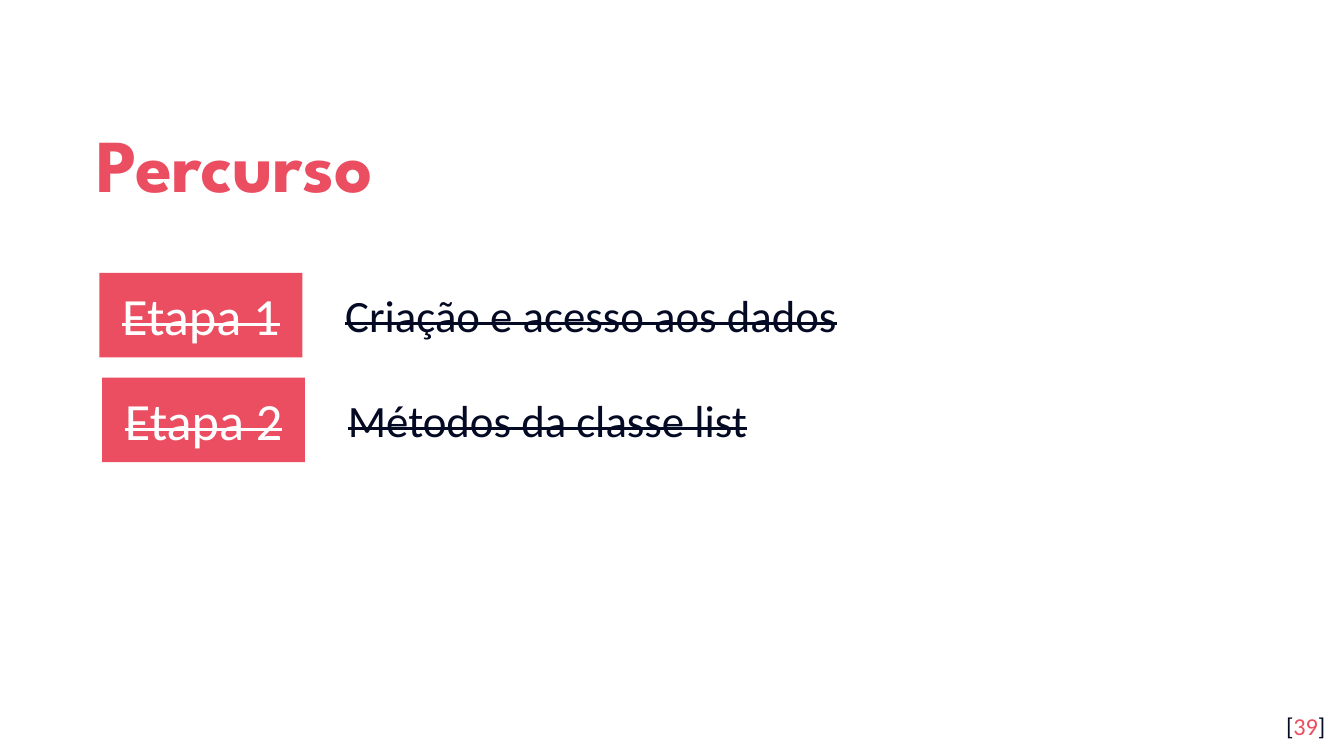
from pptx import Presentation
from pptx.dml.color import RGBColor
from pptx.enum.shapes import MSO_SHAPE
from pptx.enum.text import MSO_ANCHOR, MSO_AUTO_SIZE, PP_ALIGN
from pptx.util import Inches, Pt

CORAL = RGBColor(0xEA, 0x4E, 0x60)
NAVY = RGBColor(0x04, 0x0A, 0x24)
WHITE = RGBColor(0xFF, 0xFF, 0xFF)

TITLE_FONT = "League Spartan"
BODY_FONT = "Calibri"

SLIDE_WIDTH = 10
SLIDE_HEIGHT = SLIDE_WIDTH * 9 / 16

STEPS = ["Criação e acesso aos dados", "Métodos da classe list"]
FIRST_LEFT, FIRST_TOP = 0.74, 2.03
STEP_SHIFT, STEP_PITCH = 0.02, 0.78
LABEL_WIDTH, LABEL_HEIGHT = 1.51, 0.63
TOPIC_OFFSET, TOPIC_WIDTH, TOPIC_HEIGHT = 1.73, 6.75, 0.5


def write(shape, *parts, size, font=BODY_FONT, bold=False, strike=False,
          align=PP_ALIGN.LEFT, anchor=MSO_ANCHOR.TOP, inset=0.1,
          hanging=0, spacing=1.0):
    """Fill a shape with one paragraph made of (text, colour) parts."""
    frame = shape.text_frame
    frame.word_wrap = True
    frame.auto_size = MSO_AUTO_SIZE.NONE
    frame.vertical_anchor = anchor
    frame.margin_left = frame.margin_right = Inches(0.1)
    frame.margin_top = frame.margin_bottom = Inches(inset)
    paragraph = frame.paragraphs[0]
    paragraph.alignment = align
    paragraph.line_spacing = spacing
    if hanging:
        properties = paragraph._p.get_or_add_pPr()
        properties.set("marL", str(Inches(hanging)))
        properties.set("indent", str(-Inches(hanging)))
    for text, color in parts:
        run = paragraph.add_run()
        run.text = text
        run.font.name = font
        run.font.size = Pt(size)
        run.font.bold = bold
        run.font.color.rgb = color
        if strike:
            run._r.get_or_add_rPr().set("strike", "sngStrike")


def add_title(slide, text):
    """Place and format the title placeholder."""
    title = slide.shapes.title
    title.left, title.top = Inches(0.62), Inches(0.7)
    title.width, title.height = Inches(8.1), Inches(0.92)
    write(title, (text, CORAL), size=40, font=TITLE_FONT, bold=True,
          anchor=MSO_ANCHOR.MIDDLE, spacing=1.15)


def add_text_box(slide, box, *parts, **style):
    """Add a text box at left, top, width, height in inches."""
    write(slide.shapes.add_textbox(*map(Inches, box)), *parts, **style)


def add_step(slide, index, topic):
    """Add one numbered step label with its topic beside it."""
    left = FIRST_LEFT + index * STEP_SHIFT
    top = FIRST_TOP + index * STEP_PITCH
    label = slide.shapes.add_shape(
        MSO_SHAPE.RECTANGLE,
        *map(Inches, (left, top, LABEL_WIDTH, LABEL_HEIGHT)))
    label.shadow.inherit = False
    label.fill.solid()
    label.fill.fore_color.rgb = CORAL
    label.line.fill.background()
    write(label, (f"Etapa {index + 1}", WHITE), size=28, strike=True,
          align=PP_ALIGN.CENTER, anchor=MSO_ANCHOR.MIDDLE)
    topic_top = top + (LABEL_HEIGHT - TOPIC_HEIGHT) / 2
    add_text_box(slide,
                 (left + TOPIC_OFFSET, topic_top, TOPIC_WIDTH, TOPIC_HEIGHT),
                 (topic, NAVY), size=24, strike=True, inset=0.05, hanging=0.5)


def main():
    """Build the slide and save it."""
    presentation = Presentation()
    presentation.slide_width = Inches(SLIDE_WIDTH)
    presentation.slide_height = Inches(SLIDE_HEIGHT)
    slide = presentation.slides.add_slide(presentation.slide_layouts[5])
    add_title(slide, "Percurso")
    add_text_box(slide, (9.36, 5.19, 0.6, 0.43),
                 ("[", NAVY), ("39", CORAL), ("]", NAVY),
                 size=13, align=PP_ALIGN.RIGHT)
    for index, topic in enumerate(STEPS):
        add_step(slide, index, topic)
    presentation.save("out.pptx")


if __name__ == "__main__":
    main()
